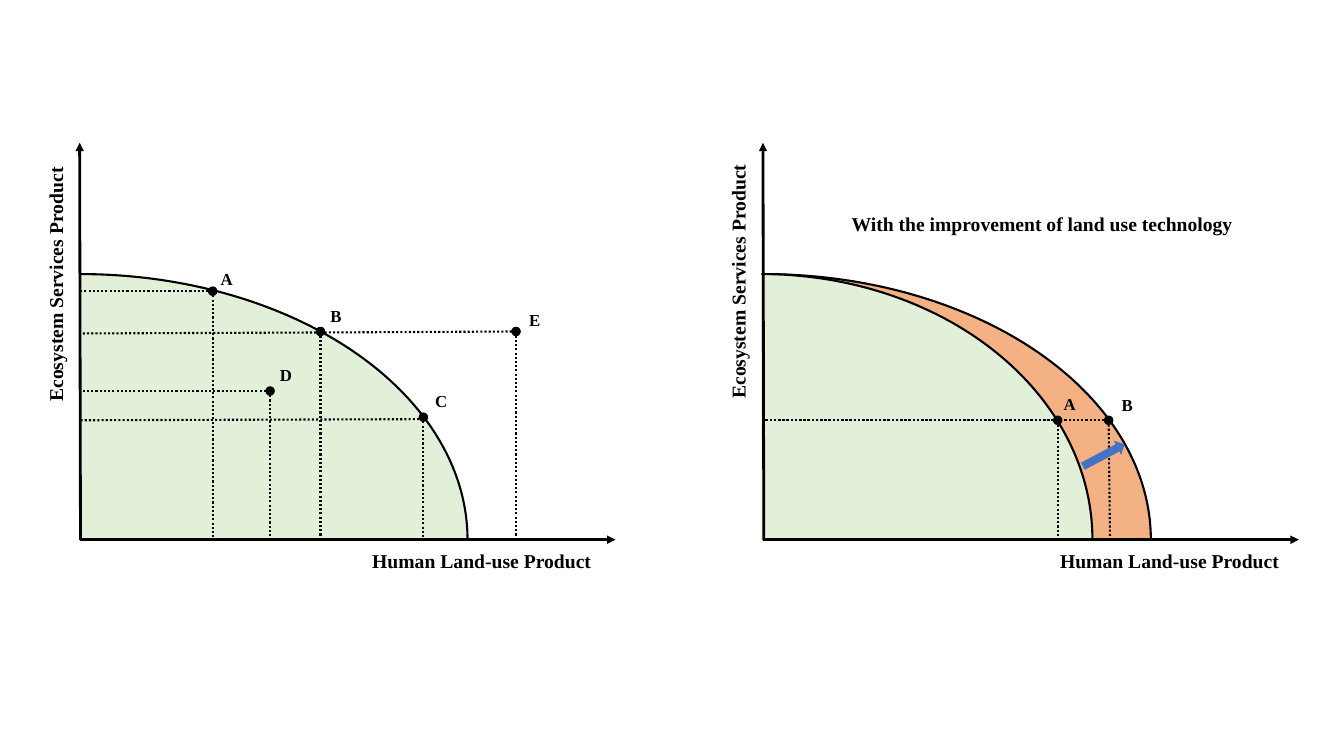
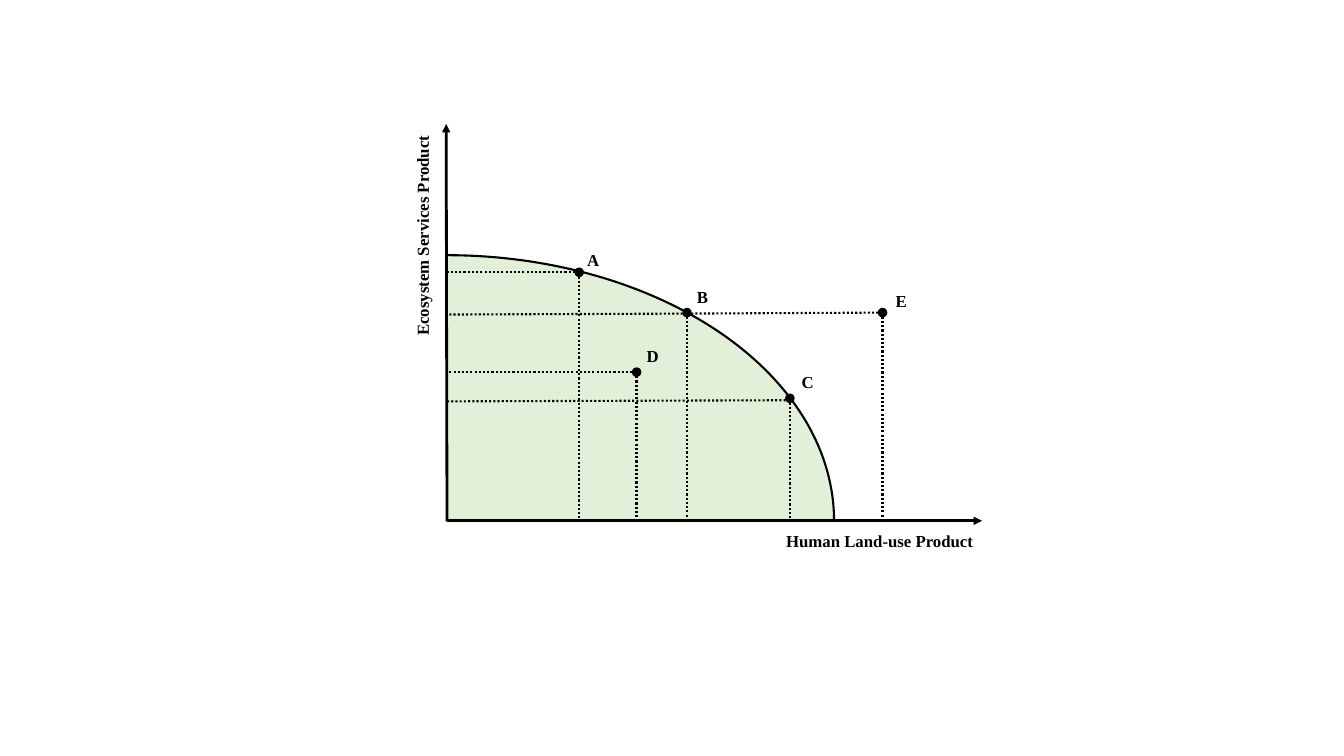
from collections import namedtuple

from lxml import etree
from pptx import Presentation
from pptx.dml.color import RGBColor
from pptx.enum import dml, shapes, text
from pptx.oxml import ns
from pptx.util import Pt

BLACK = RGBColor(0, 0, 0)
GREEN = RGBColor(0xE2, 0xF0, 0xD9)
ORANGE = RGBColor(0xF4, 0xB1, 0x83)
BLUE = RGBColor(0x44, 0x72, 0xC4)
FONT = "Times New Roman"

# Shared chart measures, in points
RISE = 189.7        # height of every curve
REACH = 276.8       # width of the wide curve
NARROW = 236.5      # width of the narrow curve
AXIS_X, AXIS_Y = 382.5, 283.5
DOT = 5.8

# x, y: distance from the origin; tag: label offset from the dot;
# sag: drop of the level guide at its right and left end;
# stop: x where that guide ends; lean: sideways drift of the upright guide
Point = namedtuple("Point", "name x y tag sag stop lean",
                   defaults=[(0, 0), 0, 0])
TRADE = [
    Point("A", 94.7, 177.5, (-1.4, -19.4)),
    Point("B", 171.7, 148.7, (0, -22.3), (0.7, 1.4)),
    Point("C", 245.2, 87.5, (1.4, -22.3), (1.4, 2.2)),
    Point("D", 135.7, 106.2, (0, -22.3)),
    Point("E", 311.4, 148.7, (2.2, -19.4), (0, 0.7), 171.7),
]
GAIN = [
    Point("A", 210.2, 85.3, (-2.9, -22.3)),
    Point("B", 246.6, 85.3, (2.2, -21.6), lean=1),
]

# Axis captions: size, box, left and top of the x caption,
# centre of the y caption, all from the origin
Style = namedtuple("Style", "size wide high left top mid")
LEFT = Style(14, 192.2, 24.5, 201.6, 3.2, (-17.3, -187.6))
RIGHT = Style(14, 192.2, 24.5, 204.8, 3.2, (-18, -189.7))
SMALL = Style(12, 158.4, 21.6, 235.4, 3.8, (-17.3, -204.2))


def add_text(art, words, x, y, w, h, size, turn=0):
    box = art.add_textbox(Pt(x), Pt(y), Pt(w), Pt(h))
    box.rotation = turn
    frame = box.text_frame
    frame.word_wrap = True
    frame.auto_size = text.MSO_AUTO_SIZE.SHAPE_TO_FIT_TEXT
    run = frame.paragraphs[0].add_run()
    run.text = words
    font = run.font
    font.name, font.size, font.bold = FONT, Pt(size), True
    font.color.rgb = BLACK


def add_shape(art, kind, x, y, w, h, fill, width=0):
    item = art.add_shape(kind, Pt(x), Pt(y), Pt(w), Pt(h))
    item.shadow.inherit = False
    item.fill.solid()
    item.fill.fore_color.rgb = fill
    if width:
        item.line.color.rgb = BLACK
        item.line.width = Pt(width)
    else:
        item.line.fill.background()
    return item


def add_line(art, x1, y1, x2, y2, width):
    line = art.add_connector(shapes.MSO_CONNECTOR.STRAIGHT,
                             Pt(x1), Pt(y1), Pt(x2), Pt(y2))
    line.line.color.rgb = BLACK
    line.line.width = Pt(width)
    etree.SubElement(line._element.spPr, ns.qn("a:effectLst"))
    return line


def add_guide(art, *ends):
    line = add_line(art, *ends, 1.5)
    line.line.dash_style = dml.MSO_LINE.ROUND_DOT


def add_axis(art, *ends):
    line = add_line(art, *ends, 2)
    head = etree.SubElement(line.line._get_or_add_ln(), ns.qn("a:tailEnd"))
    head.set("type", "triangle")


def add_curve(art, x, y, reach, fill):
    add_shape(art, shapes.MSO_SHAPE.ARC, x - reach, y - RISE,
              2 * reach, 2 * RISE, fill, 1.5)


def add_point(art, ox, oy, point):
    x, y = ox + point.x, oy - point.y
    right, left = point.sag
    add_guide(art, x, y, x + point.lean, oy)
    add_guide(art, x, y + right, ox + point.stop, y + left)
    add_shape(art, shapes.MSO_SHAPE.OVAL, x - DOT / 2, y - DOT / 2,
              DOT, DOT, BLACK, 1)
    dx, dy = point.tag
    add_text(art, point.name, x + dx, y + dy, 22.3, 21.6, 12)


def add_chart(slide, ox, oy, curves, points, style):
    """Draw one frontier chart with its origin at ox, oy."""
    art = slide.shapes.add_group_shape().shapes
    for shift, reach, fill in curves:
        add_curve(art, ox + shift, oy, reach, fill)
    for point in points:
        add_point(art, ox, oy, point)
    # Axes and their captions
    add_axis(art, ox, oy, ox + AXIS_X, oy)
    add_axis(art, ox + 0.3, oy + 0.4, ox - 0.3, oy - AXIS_Y)
    size, wide, high = style.size, style.wide, style.high
    add_text(art, "Human Land-use Product", ox + style.left,
             oy + style.top, wide, high, size)
    dx, dy = style.mid
    add_text(art, "Ecosystem Services Product", ox + dx - wide / 2,
             oy + dy - high / 2, wide, high, size, 270)


def main():
    deck = Presentation()
    deck.slide_width, deck.slide_height = Pt(960), Pt(540)
    blank = deck.slide_layouts[6]
    single = [(0, REACH, GREEN)]
    double = [(0, REACH, ORANGE), (-1.4, NARROW, GREEN)]

    # Slide 1: the frontier, and its shift through technology
    slide = deck.slides.add_slide(blank)
    add_chart(slide, 57.2, 385.5, single, TRADE, LEFT)
    add_chart(slide, 545.3, 385.5, double, GAIN, RIGHT)
    arrow = add_shape(slide.shapes, shapes.MSO_SHAPE.DOWN_ARROW,
                      782.6, 308.2, 11.5, 33.8, BLUE)
    arrow.rotation = 242
    add_text(slide.shapes, "With the improvement of land use technology",
             601.2, 147.6, 329, 24.5, 14)

    # Slide 2: the frontier alone
    slide = deck.slides.add_slide(blank)
    add_chart(slide, 319, 372, single, TRADE, SMALL)

    deck.save("out.pptx")


if __name__ == "__main__":
    main()
